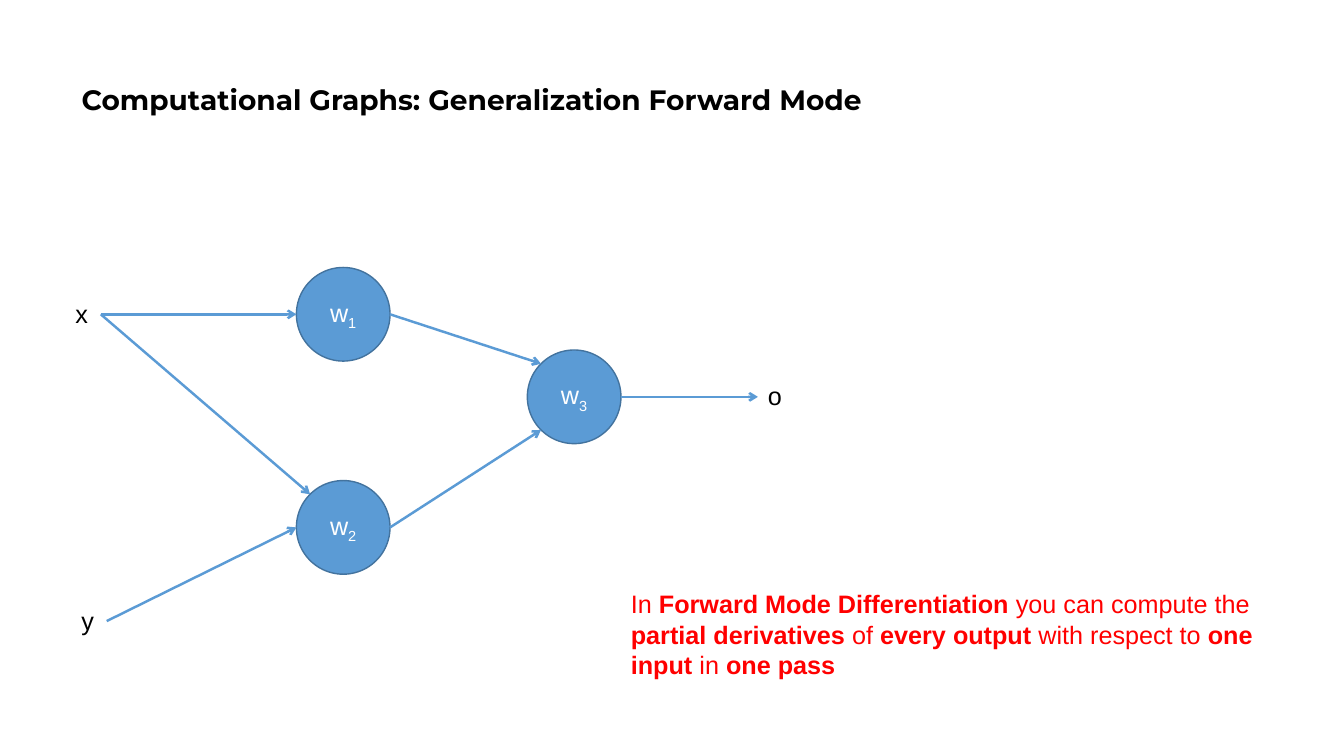
from dataclasses import dataclass
from math import sqrt

from lxml.etree import SubElement
from pptx import Presentation
from pptx.dml.color import RGBColor as RGB
from pptx.enum.shapes import MSO_CONNECTOR as Conn, MSO_SHAPE as Shape
from pptx.enum.text import MSO_ANCHOR as Anchor, MSO_AUTO_SIZE as Fit, PP_ALIGN as Align
from pptx.oxml.ns import qn
from pptx.util import Cm, Pt


@dataclass(frozen=True)
class Theme:
    blue: RGB = RGB(0x5B, 0x9B, 0xD5)
    edge: RGB = RGB(0x43, 0x73, 0x9E)
    black: RGB = RGB(0, 0, 0)
    white: RGB = RGB(255, 255, 255)
    red: RGB = RGB(255, 0, 0)
    head: Pt = Pt(20)
    body: Pt = Pt(18)
    title: str = "Montserrat"
    text: str = "Arial"


theme = Theme()


def style(run, color, size=theme.body, name=theme.text, bold=False):
    font = run.font
    font.name, font.size, font.bold = name, size, bold
    font.color.rgb = color


def add_text(x, y, width, height, parts, wrap):
    """Add a text box from (words, bold, color) parts."""
    box = shapes.add_textbox(Cm(x), Cm(y), Cm(width), Cm(height))
    frame = box.text_frame
    frame.word_wrap = wrap
    frame.auto_size = Fit.SHAPE_TO_FIT_TEXT
    for words, bold, color in parts:
        run = frame.paragraphs[0].add_run()
        run.text = words
        style(run, color, bold=bold)


deck = Presentation()
deck.slide_width, deck.slide_height = Cm(33.87), Cm(19.05)
slide = deck.slides.add_slide(deck.slide_layouts[5])
shapes = slide.shapes

# Title
title = shapes.title
title.left, title.top, title.width, title.height = Cm(1.8), Cm(0.71), Cm(29.21), Cm(3.68)
frame = title.text_frame
frame.text = "Computational Graphs: Generalization Forward Mode"
frame.auto_size = Fit.NONE
frame.vertical_anchor = Anchor.MIDDLE
para = frame.paragraphs[0]
para.alignment = Align.LEFT
para.line_spacing = 0.9
style(para.runs[0], theme.black, theme.head, theme.title, True)

# Graph nodes, by centre
radius = 1.18
slant = radius / sqrt(2)
nodes = {"1": (8.65, 7.92), "2": (8.65, 13.29), "3": (14.47, 10)}
for index, (x, y) in nodes.items():
    node = shapes.add_shape(Shape.OVAL, Cm(x - radius), Cm(y - radius),
                            Cm(2 * radius), Cm(2 * radius))
    node.shadow.inherit = False
    node.fill.solid()
    node.fill.fore_color.rgb = theme.blue
    node.line.color.rgb = theme.edge
    node.line.width = Pt(1)
    node.text_frame.vertical_anchor = Anchor.MIDDLE
    para = node.text_frame.paragraphs[0]
    para.alignment = Align.CENTER
    for words in ("w", index):
        run = para.add_run()
        run.text = words
        style(run, theme.white)
    run._r.get_or_add_rPr().set("baseline", "-25000")

# Input and output labels
for name, x, y in (("x", 1.65, 7.39), ("y", 1.8, 15.14), ("o", 19.1, 9.47)):
    add_text(x, y, 0.9, 1.02, [(name, False, theme.black)], False)

# Arrows
left = {key: (x - radius, y) for key, (x, y) in nodes.items()}
right = {key: (x + radius, y) for key, (x, y) in nodes.items()}
upper = {key: (x - slant, y - slant) for key, (x, y) in nodes.items()}
lower = {key: (x - slant, y + slant) for key, (x, y) in nodes.items()}
x_in, y_in, out = (2.54, 7.92), (2.69, 15.65), (19.1, 10)
arrows = (
    (x_in, left["1"]),
    (x_in, upper["2"]),
    (y_in, left["2"]),
    (right["1"], upper["3"]),
    (right["2"], lower["3"]),
    (right["3"], out),
)
for start, end in arrows:
    arrow = shapes.add_connector(Conn.STRAIGHT, *map(Cm, start + end))
    arrow.line.color.rgb = theme.blue
    arrow.line.width = Pt(1.75)
    SubElement(arrow.line._get_or_add_ln(), qn("a:tailEnd"), type="arrow")
    SubElement(arrow._element.spPr, qn("a:effectLst"))

# Takeaway: every second part is bold
parts = ("In ", "Forward Mode Differentiation", " you can compute the ",
         "partial derivatives", " of ", "every output", " with respect to ",
         "one input ", "in ", "one pass")
add_text(15.65, 14.71, 17.07, 2.57,
         [(words, i % 2 == 1, theme.red) for i, words in enumerate(parts)], True)

deck.save("out.pptx")
